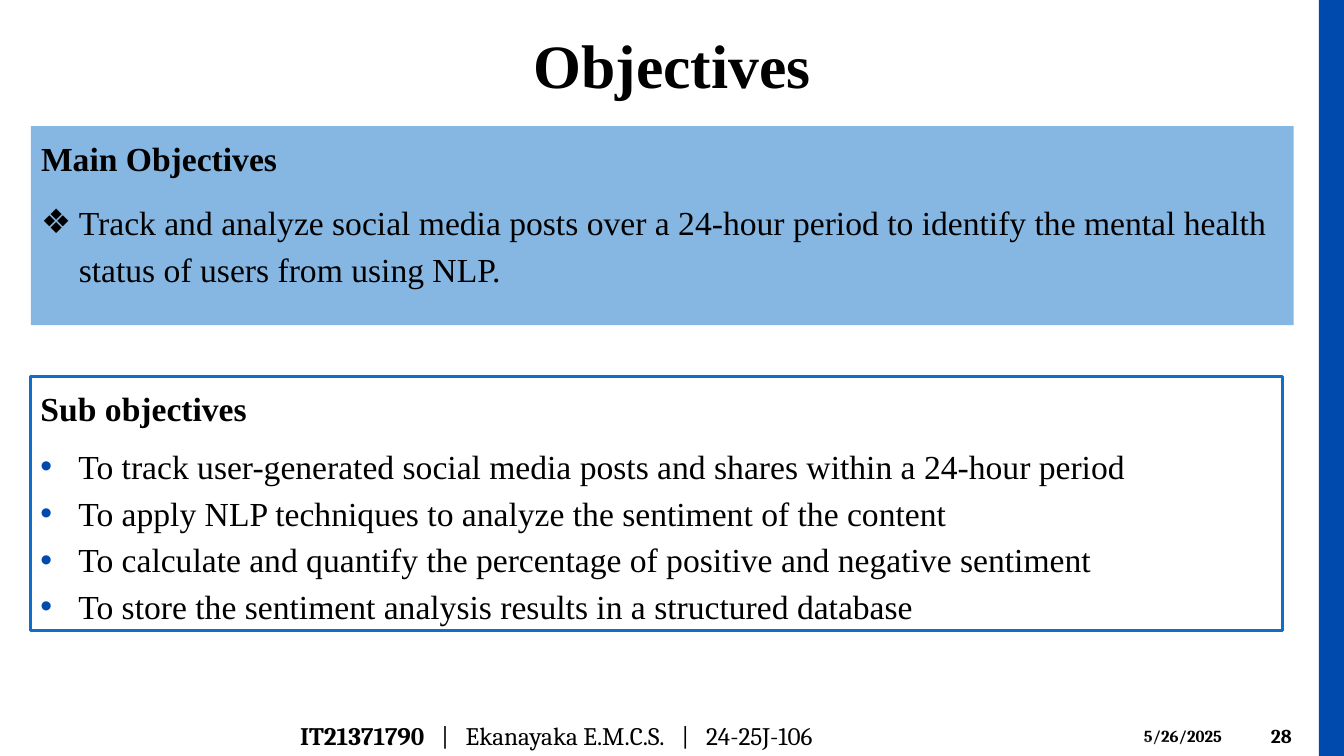
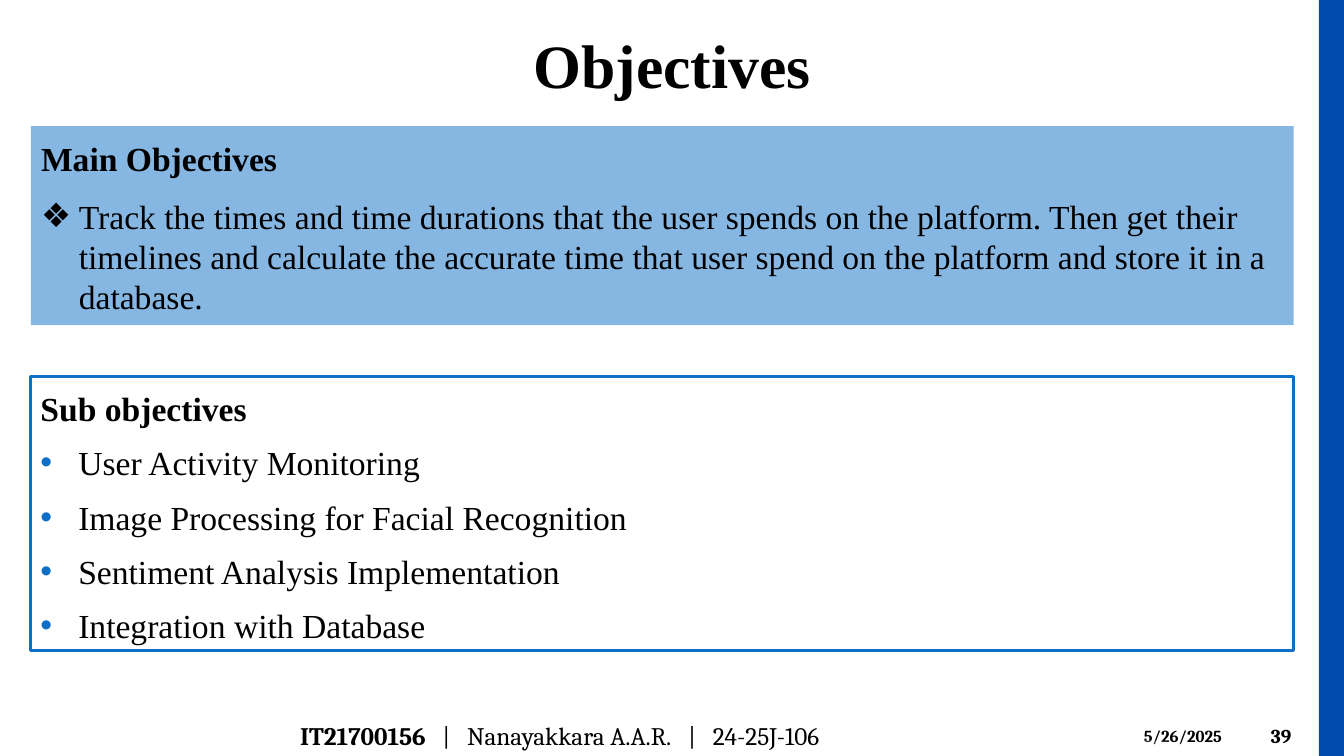
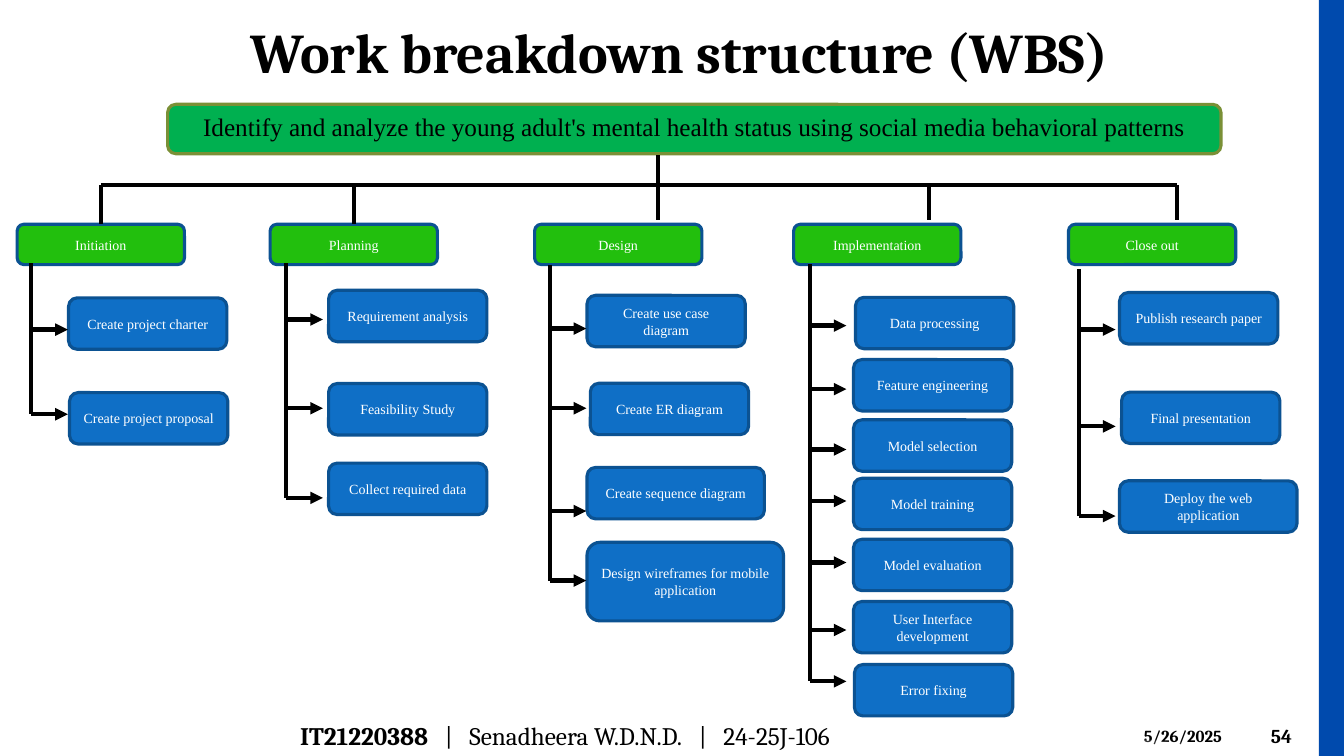
"""Build three project slides: two lists of objectives and a work breakdown."""
from dataclasses import dataclass

from lxml import etree
from pptx import Presentation
from pptx.dml.color import RGBColor
from pptx.enum.shapes import MSO_CONNECTOR as Connector, MSO_SHAPE as Shape
from pptx.enum.text import MSO_ANCHOR as Anchor, MSO_AUTO_SIZE as AutoSize, PP_ALIGN as Align
from pptx.oxml.ns import qn
from pptx.util import Inches, Pt

WIDTH, HEIGHT = Inches(13.33), Inches(7.5)
COLUMNS, ROWS = 40, 30
SERIF, CAMBRIA = "Times New Roman", "Cambria"
COLORS = {
    "text": "000000", "white": "FFFFFF", "band": "004AAD", "blue": "0F6FC6",
    "outline": "0B5292", "phase": "22BF0D", "banner": "00B050", "olive": "7A9036",
}
PROJECT, DATE = "24-25J-106", "5/26/2025"
INDENT = Pt(27)
PHASE_SIZE, TASK_SIZE = (4.98, 1.6), (4.71, 2.04)
BUS_ROW, DROP_END, ARROW_LENGTH = 7.34, 8.74, 1.09


@dataclass
class Task:
    label: str
    top: float
    arrow: float
    width: float = TASK_SIZE[0]
    height: float = TASK_SIZE[1]
    shift: float = 0


@dataclass
class Phase:
    label: str
    left: float
    drop: float
    trunk: float
    trunk_top: float
    task_left: float
    tasks: list


PHASES = [
    Phase("Initiation", 0.51, 3, 0.93, 10.44, 2.04, [
        Task("Create project charter", 11.82, 13.08),
        Task("Create project proposal", 15.58, 16.44, shift=0.03)]),
    Phase("Planning", 8.04, 10.53, 8.52, 10.44, 9.78, [
        Task("Requirement analysis", 11.52, 12.68),
        Task("Feasibility Study", 15.22, 16.2),
        Task("Collect required data", 18.38, 19.76)]),
    Phase("Design", 15.91, 19.59, 16.36, 10.52, 17.47, [
        Task("Create use case diagram", 11.72, 13.04),
        Task("Create ER diagram", 15.21, 16.2, shift=0.1),
        Task("Create sequence diagram", 18.55, 20.28, 5.28),
        Task("Design wireframes for mobile application", 21.52, 23.04, 5.85, 3.12)]),
    Phase("Implementation", 23.62, 27.66, 24.1, 10.48, 25.4, [
        Task("Data processing", 11.8, 12.92, shift=0.06),
        Task("Feature engineering", 14.27, 15.44),
        Task("Model selection", 16.66, 17.84),
        Task("Model training", 18.98, 19.88),
        Task("Model evaluation", 21.4, 22.32),
        Task("User Interface development", 23.87, 25),
        Task("Error fixing", 26.37, 27.04, shift=0.03)]),
    Phase("Close out", 31.8, 35.04, 32.11, 10.68, 33.32, [
        Task("Publish research paper", 11.61, 13.08),
        Task("Final presentation", 15.56, 16.92, shift=0.06),
        Task("Deploy the web application", 19.08, 20.48, 5.28)]),
]


def column(count):
    return round(WIDTH * count / COLUMNS)


def row(count):
    return round(HEIGHT * count / ROWS)


def area(left, top, width, height):
    return column(left), row(top), column(width), row(height)


def rgb(name):
    return RGBColor.from_string(COLORS[name])


def style(span, size, font=SERIF, bold=False, color="text"):
    span.font.size, span.font.name, span.font.bold = Pt(size), font, bold
    span.font.color.rgb = rgb(color)


def paint(shape, fill, line=None, opacity=None):
    shape.fill.solid()
    shape.fill.fore_color.rgb = rgb(fill)
    if opacity:
        tint = shape._element.spPr.find(qn("a:solidFill"))[0]
        etree.SubElement(tint, qn("a:alpha"), val=str(opacity * 1000))
    if line:
        shape.line.color.rgb = rgb(line)
        shape.line.width = Pt(2.25)
    else:
        shape.line.fill.background()


def add_text(page, place, text, size, font=CAMBRIA, bold=False):
    box = page.shapes.add_textbox(*area(*place))
    frame = box.text_frame
    frame.word_wrap, frame.vertical_anchor = True, Anchor.MIDDLE
    frame.text = text
    style(frame.paragraphs[0].runs[0], size, font, bold)
    return frame.paragraphs[0]


def add_block(page, kind, place, fill, line=None, text=None, size=10, color="white",
              anchor=Anchor.MIDDLE, opacity=None):
    block = page.shapes.add_shape(kind, *area(*place))
    block.shadow.inherit = False
    paint(block, fill, line, opacity)
    if text:
        frame = block.text_frame
        frame.word_wrap, frame.vertical_anchor = True, anchor
        frame.text = text
        frame.paragraphs[0].alignment = Align.CENTER
        style(frame.paragraphs[0].runs[0], size, color=color)
    return block


def add_line(page, start, end, arrow=False):
    line = page.shapes.add_connector(
        Connector.STRAIGHT, column(start[0]), row(start[1]), column(end[0]), row(end[1]))
    line.line.color.rgb = rgb("text")
    line.line.width = Pt(3)
    if arrow:
        outline = line.line._get_or_add_ln()
        etree.SubElement(outline, qn("a:tailEnd"), type="triangle")
    etree.SubElement(line._element.spPr, qn("a:effectLst"))
    return line


def set_bullet(para, char=None, color=None):
    props = para._p.get_or_add_pPr()
    indent = INDENT if char else 0
    props.set("marL", str(indent))
    props.set("indent", str(-indent))
    if color:
        tint = etree.SubElement(props, qn("a:buClr"))
        etree.SubElement(tint, qn("a:srgbClr"), val=COLORS[color])
    if char:
        etree.SubElement(props, qn("a:buFont"), typeface="Arial")
        etree.SubElement(props, qn("a:buChar"), char=char)
    else:
        etree.SubElement(props, qn("a:buNone"))


def fill_list(frame, heading, items, char, color=None, spacing=1.16, before=0, after=0):
    frame.word_wrap, frame.vertical_anchor = True, Anchor.TOP
    frame.text = "\n".join([heading, *items])
    for index, para in enumerate(frame.paragraphs):
        first, last = index == 0, index == len(items)
        set_bullet(para, None if first else char, None if first else color)
        para.alignment = Align.LEFT
        para.line_spacing = 1.16 if first else spacing
        para.space_before = Pt(0 if first else before)
        para.space_after = Pt(8 if first or last else after)
        style(para.runs[0], 24, bold=first)


def add_footer(page, student, name, number):
    add_text(page, (37.53, 28.4, 2.22, 1.6), number, 14, bold=True)
    add_text(page, (33.75, 28.6, 3.51, 1.2), DATE, 12, bold=True)
    for height, peak in ((1.64, 0.63), (0.8, 0.39)):
        veil = add_block(page, Shape.ISOSCELES_TRIANGLE,
                         (0, ROWS - height, COLUMNS, height), "white", opacity=20)
        veil.adjustments[0] = peak
    para = add_text(page, (8.64, 28.4, 22.35, 1.6), student, 18, bold=True)
    for part in (name, PROJECT):
        for text in (" ", "|", " ", part):
            span = para.add_run()
            span.text = text
            style(span, 18, CAMBRIA)
            if text == " ":
                span._r.get_or_add_rPr().set("spc", "790")
    add_block(page, Shape.RECTANGLE, (39.25, -0.48, 4, 31), "band")


def add_page(deck, layout, title, place, size, font, footer):
    page = deck.slides.add_slide(deck.slide_layouts[layout])
    head = page.shapes.title
    head.left, head.top, head.width, head.height = area(*place)
    frame = head.text_frame
    frame.text = title
    frame.auto_size, frame.vertical_anchor = AutoSize.NONE, Anchor.MIDDLE
    frame.paragraphs[0].alignment = Align.CENTER
    style(frame.paragraphs[0].runs[0], size, font, True)
    add_footer(page, *footer)
    return page


def add_objectives(deck, footer, goal, goal_style, steps, steps_width, steps_height, steps_style):
    page = add_page(deck, 1, "Objectives", (0.84, 0.64, 38.34, 3.8), 44, SERIF, footer)
    body = page.placeholders[1]
    body.left, body.top, body.width, body.height = area(0.92, 5, 37.58, 7.9)
    paint(body, "blue", opacity=50)
    body.text_frame.auto_size = AutoSize.NONE
    fill_list(body.text_frame, "Main Objectives", [goal], "❖", before=4.8, **goal_style)
    box = page.shapes.add_textbox(*area(0.91, 14.94, steps_width, steps_height))
    paint(box, "white", "blue")
    fill_list(box.text_frame, "Sub objectives", steps, "•", **steps_style)


def add_phase(page, phase):
    head = add_block(page, Shape.ROUNDED_RECTANGLE, (phase.left, 8.9, *PHASE_SIZE),
                     "phase", "outline", phase.label)
    drop = add_line(page, (phase.drop, BUS_ROW), (phase.drop, DROP_END))
    if abs(phase.left + PHASE_SIZE[0] / 2 - phase.drop) < 0.01:
        drop.end_connect(head, 0)
    add_line(page, (phase.trunk, phase.trunk_top), (phase.trunk, phase.tasks[-1].arrow))
    for task in phase.tasks:
        add_block(page, Shape.ROUNDED_RECTANGLE,
                  (phase.task_left + task.shift, task.top, task.width, task.height),
                  "blue", "outline", task.label)
        add_line(page, (phase.trunk, task.arrow),
                 (phase.trunk + ARROW_LENGTH, task.arrow), arrow=True)


def add_breakdown(deck, footer):
    page = add_page(deck, 5, "Work breakdown structure (WBS)", (1.05, 0.08, 38.34, 3.48),
                    40, CAMBRIA, footer)
    title = page.shapes.title.text_frame.paragraphs[0]
    title.line_spacing, title.space_after = 1.16, Pt(8)
    add_block(page, Shape.ROUNDED_RECTANGLE, (4.99, 4.14, 31.35, 1.96), "banner", "olive",
              "Identify and analyze the young adult's mental health status "
              "using social media behavioral patterns", 18, "text", Anchor.TOP)
    add_line(page, (PHASES[0].drop, BUS_ROW), (PHASES[-1].drop, BUS_ROW))
    add_line(page, (PHASES[2].drop, 6.16), (PHASES[2].drop, BUS_ROW))
    for phase in PHASES:
        add_phase(page, phase)


def main():
    deck = Presentation()
    deck.slide_width, deck.slide_height = WIDTH, HEIGHT
    add_objectives(
        deck, ("IT21371790", "Ekanayaka E.M.C.S.", "28"),
        "Track and analyze social media posts over a 24-hour period to identify "
        "the mental health status of users from using NLP.", {"spacing": 1.16},
        ["To track user-generated social media posts and shares within a 24-hour period",
         "To apply NLP techniques to analyze the sentiment of the content",
         "To calculate and quantify the percentage of positive and negative sentiment",
         "To store the sentiment analysis results in a structured database"],
        37.26, 10.08, {"color": "band"})
    add_objectives(
        deck, ("IT21700156", "Nanayakkara A.A.R.", "39"),
        "Track the times and time durations that the user spends on the platform. "
        "Then get their timelines and calculate the accurate time that user spend "
        "on the platform and store it in a database.", {"spacing": 1.0},
        ["User Activity Monitoring", "Image Processing for Facial Recognition",
         "Sentiment Analysis Implementation", "Integration with Database"],
        37.58, 10.88, {"color": "blue", "spacing": 1.07, "after": 8})
    add_breakdown(deck, ("IT21220388", "Senadheera W.D.N.D.", "54"))
    deck.save("out.pptx")


if __name__ == "__main__":
    main()
